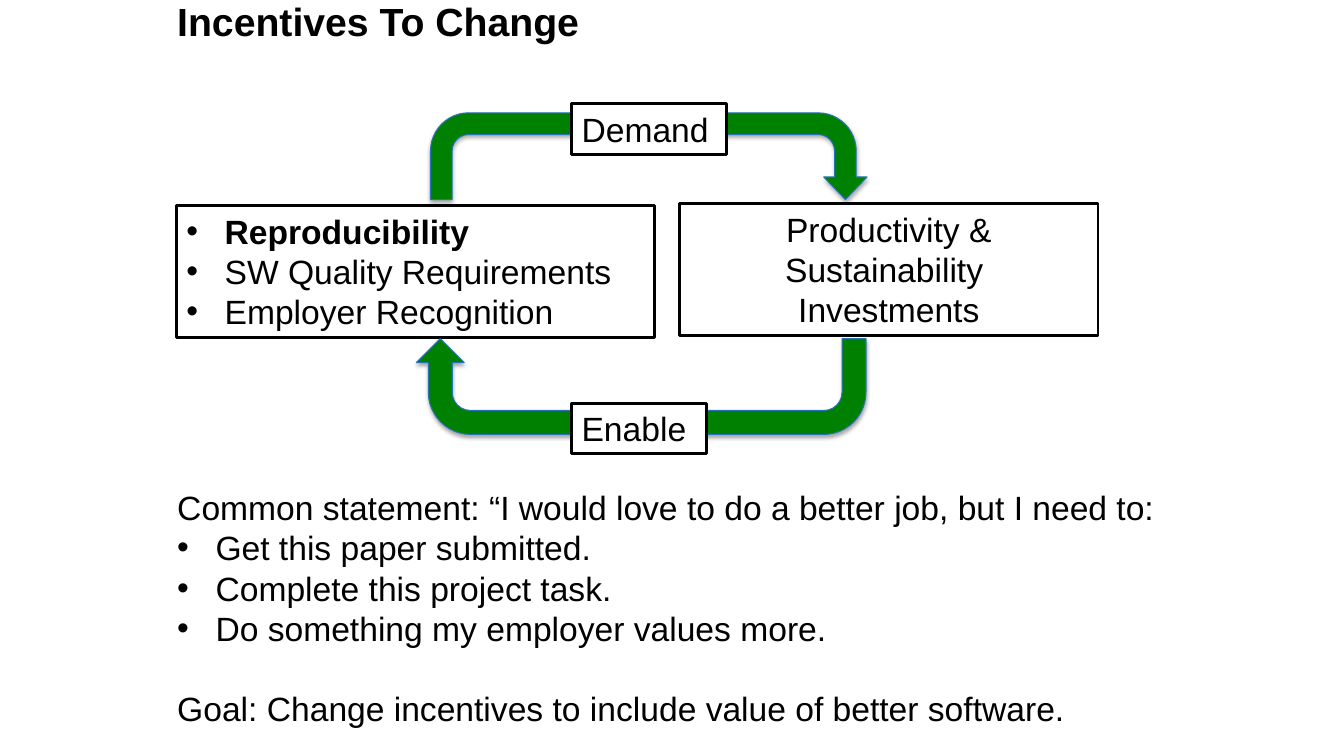
from collections import namedtuple

from lxml.etree import SubElement
from pptx import Presentation
from pptx.dml.color import RGBColor
from pptx.enum.shapes import MSO_SHAPE as Shape
from pptx.enum.text import MSO_ANCHOR as Anchor, MSO_AUTO_SIZE as AutoSize, PP_ALIGN as Align
from pptx.oxml.ns import qn
from pptx.util import Inches, Pt

COLORS = {"ink": "000000", "paper": "FFFFFF", "arrow": "008000", "edge": "2673BA"}
CELL = Inches(0.1)
BODY_SIZE = 24
LINE_GAP = 28.8
INDENT = Inches(0.38)

Box = namedtuple("Box", "left top width height")


def color(name):
    """Look up a palette colour."""
    return RGBColor.from_string(COLORS[name])


def inside(region, left, top, width, height):
    """Return a box of grid cells offset from its region."""
    return Box(region.left + left, region.top + top, width, height)


def lengths(box):
    """Turn grid cells into slide lengths."""
    return [round(cells * CELL) for cells in box]


def outline(shape, fill, line, width):
    """Give a shape its fill and line."""
    shape.shadow.inherit = False
    shape.fill.solid()
    shape.fill.fore_color.rgb = color(fill)
    shape.line.color.rgb = color(line)
    shape.line.width = Pt(width)


def start_frame(shape, grow=True):
    """Prepare a wrapping, top-anchored text frame."""
    frame = shape.text_frame
    frame.word_wrap = True
    frame.vertical_anchor = Anchor.TOP
    frame.auto_size = AutoSize.SHAPE_TO_FIT_TEXT if grow else AutoSize.NONE
    return frame


def add_span(para, text, size=BODY_SIZE, bold=False):
    """Add one run of text."""
    span = para.add_run()
    span.text = text
    span.font.name = "Arial"
    span.font.size = Pt(size)
    span.font.bold = bold
    span.font.color.rgb = color("ink")


def add_bullet(para):
    """Hang a round bullet before a paragraph."""
    props = para._p.get_or_add_pPr()
    props.set("marL", str(INDENT))
    props.set("indent", str(-INDENT))
    SubElement(props, qn("a:buFont")).set("typeface", "Arial")
    SubElement(props, qn("a:buChar")).set("char", "•")


def write(frame, lines, align=Align.LEFT):
    """Write lines given as text, bullet flag and bold flag."""
    for index, (text, bullet, bold) in enumerate(lines):
        para = frame.add_paragraph() if index else frame.paragraphs[0]
        if bullet:
            add_bullet(para)
        para.alignment = align
        for part, piece in enumerate(text.split("\n")):
            if part:
                para.add_line_break()
            add_span(para, piece, bold=bold)


def add_panel(page, box, lines, align=Align.LEFT):
    """Draw a framed white box with text."""
    panel = page.shapes.add_shape(Shape.RECTANGLE, *lengths(box))
    outline(panel, "paper", "ink", 2)
    write(start_frame(panel), lines, align)


def add_arrow(page, box, bend, tip, flipped=False):
    """Draw a green U-turn arrow with a soft shadow."""
    arrow = page.shapes.add_shape(Shape.U_TURN_ARROW, *lengths(box))
    for index, value in enumerate((0.25, 0.25, bend, 0.44, tip)):
        arrow.adjustments[index] = value
    outline(arrow, "arrow", "edge", 0.75)
    props = arrow._element.spPr
    if flipped:
        props.find(qn("a:xfrm")).set("flipH", "1")
        props.find(qn("a:xfrm")).set("flipV", "1")
    shadow = SubElement(props.find(qn("a:effectLst")), qn("a:outerShdw"))
    for key, value in (("blurRad", Pt(3.1)), ("dist", Pt(1.8)), ("dir", 5400000), ("rotWithShape", 0)):
        shadow.set(key, str(value))
    tint = SubElement(shadow, qn("a:srgbClr"))
    tint.set("val", COLORS["ink"])
    SubElement(tint, qn("a:alpha")).set("val", "35000")


def add_title(page, box, text):
    """Place the slide title."""
    frame = start_frame(page.shapes.add_textbox(*lengths(box)), grow=False)
    para = frame.paragraphs[0]
    para.line_spacing = 0.85
    add_span(para, text, size=28, bold=True)


def add_cycle(page, box):
    """Draw the loop between requirements and investments."""
    add_panel(page, inside(box, 0, 10.1, 47.4, 13.1), [
        ("Reproducibility", True, True),
        ("SW Quality Requirements", True, False),
        ("Employer Recognition", True, False),
    ])
    add_panel(page, inside(box, 49.9, 9.9, 41.5, 13.1),
              [("Productivity & Sustainability \nInvestments", False, False)], Align.CENTER)
    add_arrow(page, inside(box, 25.2, 0.9, 43.3, 8.6), bend=0.26, tip=1)
    add_arrow(page, inside(box, 23.8, 23.3, 44.6, 9.5), bend=0.25, tip=1, flipped=True)
    for text, top, width in (("Demand", 0, 15.4), ("Enable", 29.7, 13.4)):
        add_panel(page, inside(box, 39.2, top, width, 5), [(text, False, False)])


def add_statement(page, box):
    """Write the common statement and the goal below it."""
    frame = start_frame(page.shapes.add_textbox(*lengths(box)))
    write(frame, [
        ("Common statement: “I would love to do a better job, but I need to:", False, False),
        ("Get this paper submitted.", True, False),
        ("Complete this project task.", True, False),
        ("Do something my employer values more.", True, False),
        ("Goal: Change incentives to include value of better software.", False, False),
    ])
    frame.paragraphs[-1].space_before = Pt(LINE_GAP)


def main():
    """Build and save the deck."""
    deck = Presentation()
    deck.slide_width, deck.slide_height = Inches(13.33), Inches(7.5)
    page = deck.slides.add_slide(deck.slide_layouts[6])
    add_title(page, Box(16.6, 0, 90, 5.6), "Incentives To Change")
    add_cycle(page, Box(17.5, 10.3, 91.4, 34.7))
    add_statement(page, Box(16.6, 47.8, 102, 25.2))
    deck.save("out.pptx")


if __name__ == "__main__":
    main()
